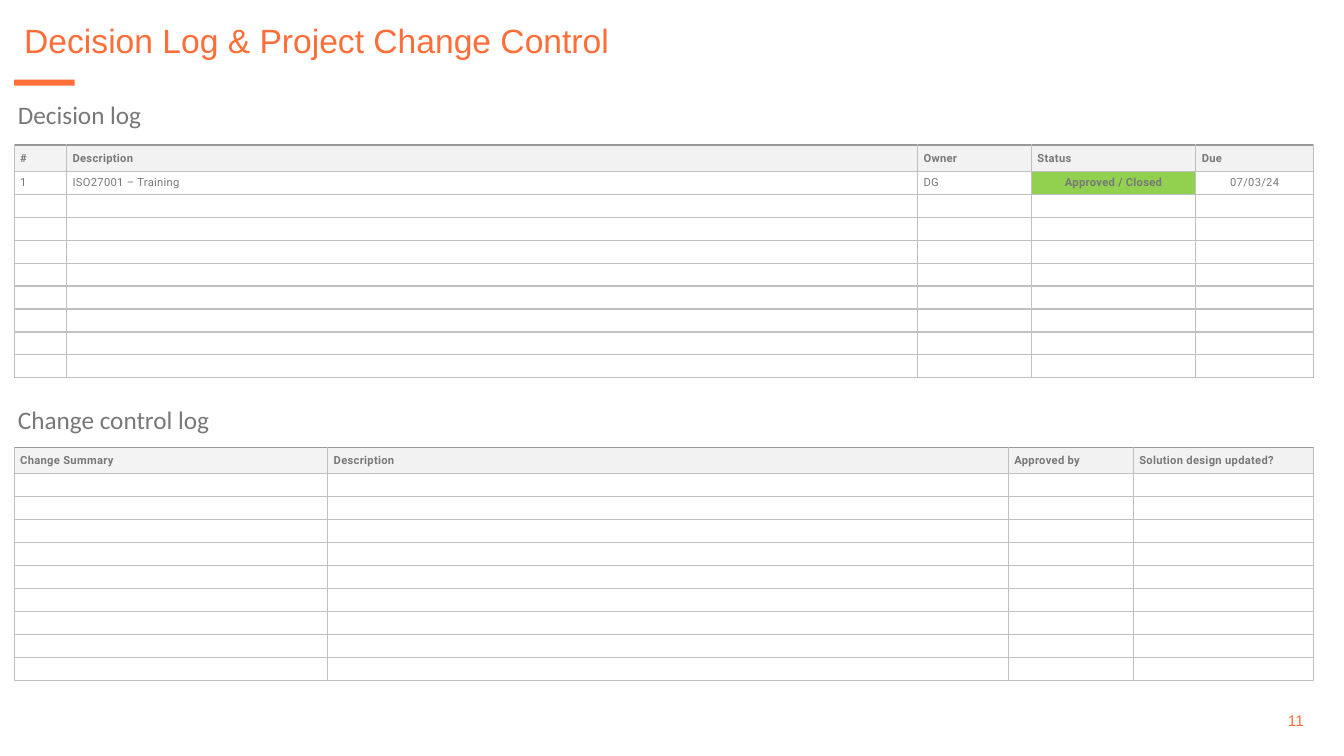
"""Build the decision log and change control slide."""
from lxml.etree import SubElement
from pptx import Presentation
from pptx.dml.color import RGBColor
from pptx.enum.shapes import MSO_SHAPE
from pptx.enum.text import MSO_ANCHOR, PP_ALIGN
from pptx.oxml.ns import qn
from pptx.util import Inches, Pt

TITLE = "Decision Log & Project Change Control"
PAGE_NUMBER = "11"
ORANGE, GREY, GREEN = "FD6E39", "787878", "92D050"
GRID, TOP_EDGE = "C0C0C0", "999999"
HEADER_FILLS = ["F3F3F3", "F2F2F2"]

LOGS = [
    {
        "heading": "Decision log",
        "heading_top": 0.94,
        "top": 1.44,
        "columns": [("#", 0.52), ("Description", 8.44), ("Owner", 1.13),
                    ("Status", 1.63), ("Due", 1.17)],
        "entries": [["1", "ISO27001 – Training", "DG", "Approved / Closed", "07/03/24"]],
    },
    {
        "heading": "Change control log",
        "heading_top": 3.96,
        "top": 4.44,
        "columns": [("Change Summary", 3.11), ("Description", 6.75),
                    ("Approved by", 1.24), ("Solution design updated?", 1.79)],
        "entries": [],
    },
]
CENTRED = {"Status", "Due"}
LEFT, LOG_HEIGHT, HEADER_HEIGHT, BODY_ROWS = 0.14, 2.31, 0.26, 9


def color(value):
    return RGBColor.from_string(value)


def write(frame, text, size, font, fill, bold=False, align=PP_ALIGN.LEFT,
          anchor=MSO_ANCHOR.TOP, line_spacing=None, tracking=None):
    frame.word_wrap = True
    frame.vertical_anchor = anchor
    paragraph = frame.paragraphs[0]
    paragraph.alignment = align
    paragraph.line_spacing = line_spacing
    if not text:
        SubElement(paragraph._p, qn("a:endParaRPr"), sz=str(size * 100))
        return
    run = paragraph.add_run()
    run.text = text
    run.font.size = Pt(size)
    run.font.name = font
    run.font.bold = bold
    run.font.color.rgb = color(fill)
    if tracking:
        run._r.get_or_add_rPr().set("spc", str(round(tracking * 100)))


def add_text(slide, box, text, **style):
    frame = slide.shapes.add_textbox(*map(Inches, box)).text_frame
    write(frame, text, **style)


def set_borders(cell, is_header):
    properties = cell._tc.get_or_add_tcPr()
    for side in "LRTB":
        heavy = is_header and side == "T"
        edge = SubElement(properties, qn(f"a:ln{side}"), w=str(Pt(1.5 if heavy else 1)))
        paint = SubElement(edge, qn("a:solidFill"))
        SubElement(paint, qn("a:srgbClr"), val=TOP_EDGE if heavy else GRID)


def format_cell(cell, text, label, is_header, fill):
    cell.margin_left = cell.margin_right = Inches(0.06)
    cell.margin_top = cell.margin_bottom = Inches(0.01)
    cell.vertical_anchor = MSO_ANCHOR.MIDDLE
    set_borders(cell, is_header)
    if fill:
        cell.fill.solid()
        cell.fill.fore_color.rgb = color(fill)
    else:
        cell.fill.background()
    centred = label in CENTRED and not is_header
    write(cell.text_frame, text, size=8, font="Roboto", fill=GREY, bold=bool(fill),
          align=PP_ALIGN.CENTER if centred else PP_ALIGN.LEFT,
          anchor=MSO_ANCHOR.MIDDLE, tracking=0.2)


def add_log(slide, log):
    add_text(slide, (0.08, log["heading_top"], 6.91, 0.4), log["heading"],
             size=18, font="Calibri", fill=GREY)
    labels, widths = zip(*log["columns"])
    blanks = [[""] * len(labels)] * (BODY_ROWS - len(log["entries"]))
    rows = [labels, *log["entries"], *blanks]
    box = (LEFT, log["top"], sum(widths), LOG_HEIGHT)
    table = slide.shapes.add_table(len(rows), len(labels), *map(Inches, box)).table
    table.first_row = table.horz_banding = False
    for column, width in zip(table.columns, widths):
        column.width = Inches(width)
    for row_index, texts in enumerate(rows):
        is_header = row_index == 0
        body_height = (LOG_HEIGHT - HEADER_HEIGHT) / BODY_ROWS
        table.rows[row_index].height = Inches(HEADER_HEIGHT if is_header else body_height)
        for column_index, (label, text) in enumerate(zip(labels, texts)):
            fill = GREEN if label == "Status" and text else None
            if is_header:
                fill = HEADER_FILLS[min(column_index, 1)]
            format_cell(table.cell(row_index, column_index), text, label, is_header, fill)


def main():
    deck = Presentation()
    deck.slide_width, deck.slide_height = Inches(13.33), Inches(7.5)
    slide = deck.slides.add_slide(deck.slide_layouts[5])

    accent = slide.shapes.add_shape(MSO_SHAPE.RECTANGLE, Inches(LEFT), Inches(0.79),
                                    Inches(0.6), Inches(0.06))
    accent.shadow.inherit = False
    accent.fill.solid()
    accent.fill.fore_color.rgb = color(ORANGE)
    accent.line.fill.background()

    title = slide.shapes.title
    title.left, title.top = Inches(LEFT), Inches(0.19)
    title.width, title.height = Inches(11.66), Inches(0.46)
    write(title.text_frame, TITLE, size=24, font="Arial", fill=ORANGE, line_spacing=0.9)

    add_text(slide, (12.19, 6.95, 0.84, 0.4), PAGE_NUMBER, size=11, font="Arial",
             fill=ORANGE, align=PP_ALIGN.RIGHT, anchor=MSO_ANCHOR.MIDDLE)
    for log in LOGS:
        add_log(slide, log)
    deck.save("out.pptx")


if __name__ == "__main__":
    main()
